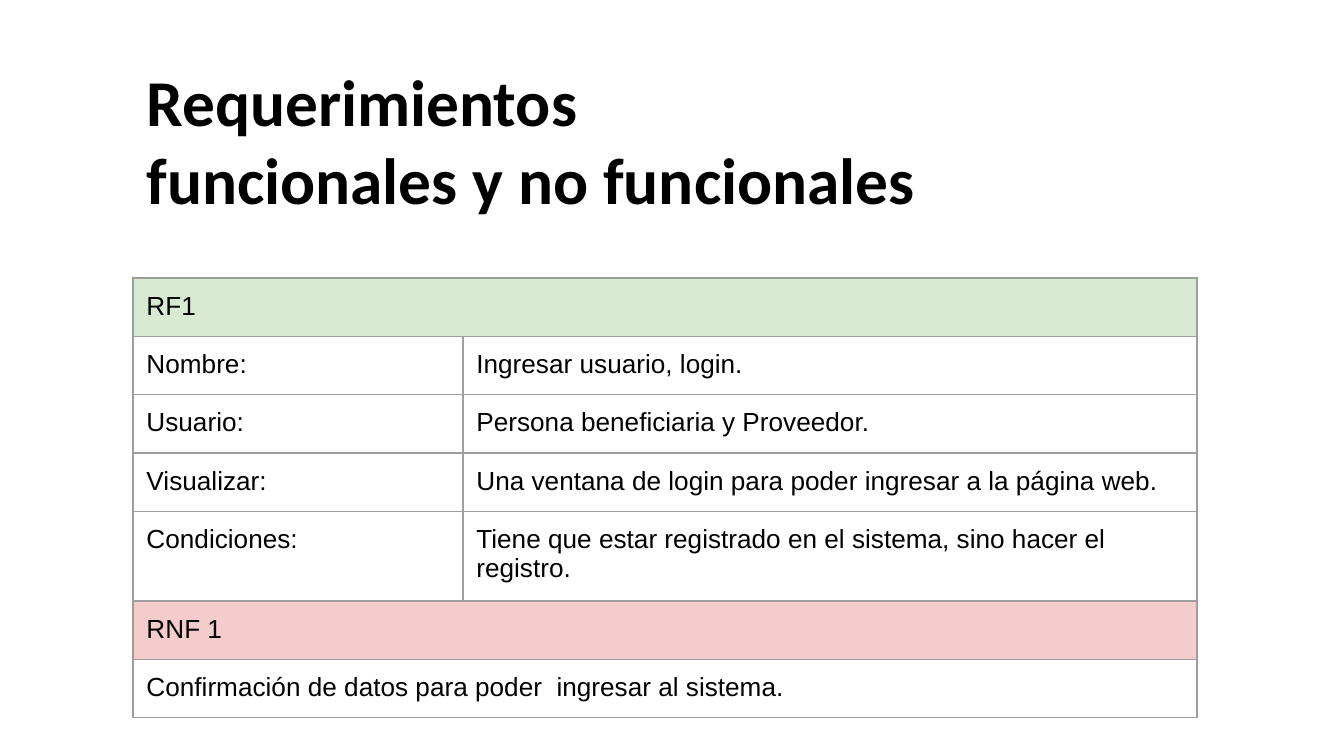
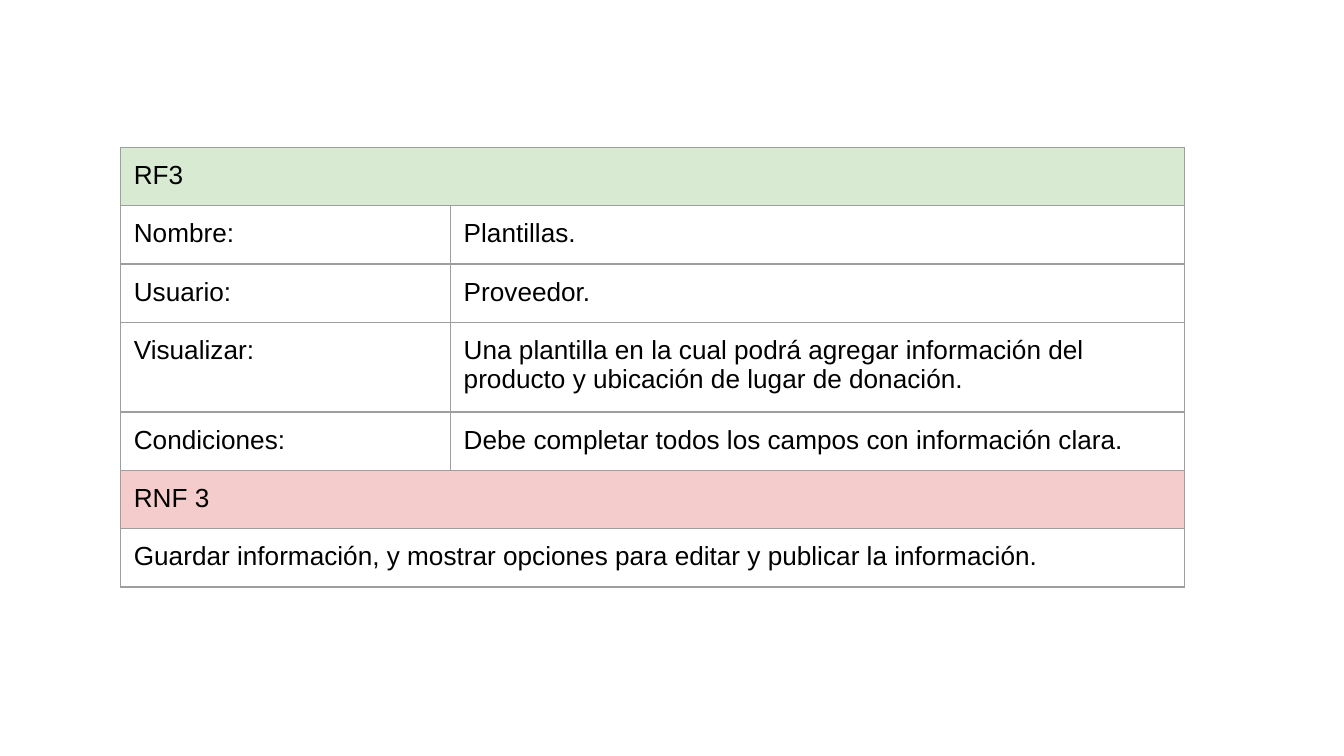
"""Build two slides of functional and non-functional requirement tables."""
from dataclasses import dataclass
from typing import Optional

from lxml.etree import SubElement
from pptx import Presentation
from pptx.dml.color import RGBColor
from pptx.enum.text import MSO_ANCHOR, MSO_AUTO_SIZE, PP_ALIGN
from pptx.oxml.ns import qn
from pptx.slide import Slide
from pptx.table import Table, _Cell as Cell
from pptx.util import Length, Pt


@dataclass(frozen=True)
class Theme:
    """Colours, fonts and sizes shared by the slides."""
    ink: RGBColor = RGBColor(0x00, 0x00, 0x00)
    functional: RGBColor = RGBColor(0xD9, 0xEA, 0xD3)
    non_functional: RGBColor = RGBColor(0xF4, 0xCC, 0xCC)
    border: RGBColor = RGBColor(0x9E, 0x9E, 0x9E)
    border_width: Length = Pt(0.75)
    title_font: str = "Calibri"
    title_size: Length = Pt(35)
    table_font: str = "Arial"
    table_size: Length = Pt(14)
    padding: Length = Pt(7.2)


@dataclass(frozen=True)
class Requirement:
    """One functional requirement and its non-functional companion."""
    left: Length
    top: Length
    code: str
    name: str
    user: str
    view: str
    conditions: str
    quality_code: str
    quality: str


THEME = Theme()
COLUMN_WIDTHS = (Pt(176.75), Pt(393.25))
ROW_HEIGHT = Pt(30.25)
ROW_COUNT = 7
TITLE_ONLY, BLANK = 5, 6
TITLE_LINES = ("Requerimientos", "funcionales y no funcionales")

LOGIN = Requirement(
    Pt(71.25), Pt(149), "RF1", "Ingresar usuario, login.",
    "Persona beneficiaria y Proveedor.",
    "Una ventana de login para poder ingresar a la página web.",
    "Tiene que estar registrado en el sistema, sino hacer el registro.",
    "RNF 1", "Confirmación de datos para poder  ingresar al sistema.",
)
TEMPLATES = Requirement(
    Pt(64.5), Pt(79), "RF3", "Plantillas.", "Proveedor.",
    "Una plantilla en la cual podrá agregar información del producto "
    "y ubicación de lugar de donación.",
    "Debe completar todos los campos con información clara.",
    "RNF 3",
    "Guardar información, y mostrar opciones para editar y publicar la información.",
)


def write_title(page: Slide) -> None:
    """Place and format the title placeholder."""
    title = page.shapes.title
    title.left, title.top, title.width, title.height = Pt(71.25), Pt(29), Pt(472), Pt(92)
    frame = title.text_frame
    frame.text = "\n".join(TITLE_LINES)
    frame.word_wrap = True
    frame.auto_size = MSO_AUTO_SIZE.SHAPE_TO_FIT_TEXT
    frame.vertical_anchor = MSO_ANCHOR.TOP
    frame.margin_left = frame.margin_right = THEME.padding
    frame.margin_top = frame.margin_bottom = Pt(3.6)
    for para in frame.paragraphs:
        para.alignment = PP_ALIGN.LEFT
        para.font.name = THEME.title_font
        para.font.size = THEME.title_size
        para.font.bold = True
        para.font.color.rgb = THEME.ink


def style_cell(cell: Cell, fill: Optional[RGBColor]) -> None:
    """Give a cell its fill, padding and four borders."""
    cell.margin_left = cell.margin_right = THEME.padding
    cell.margin_top = cell.margin_bottom = THEME.padding
    if fill is None:
        cell.fill.background()
    else:
        cell.fill.solid()
        cell.fill.fore_color.rgb = fill
    properties = cell._tc.get_or_add_tcPr()
    for index, side in enumerate(("a:lnL", "a:lnR", "a:lnT", "a:lnB")):
        line = SubElement(properties, qn(side), w=str(THEME.border_width))
        paint = SubElement(line, qn("a:solidFill"))
        SubElement(paint, qn("a:srgbClr"), val=str(THEME.border))
        properties.insert(index, line)


def write_row(table: Table, row: int, texts: tuple[str, ...],
              fill: Optional[RGBColor] = None) -> None:
    """Write a row, merging its cells when it holds a single text."""
    for column in range(len(COLUMN_WIDTHS)):
        style_cell(table.cell(row, column), fill)
    if len(texts) == 1:
        table.cell(row, 0).merge(table.cell(row, len(COLUMN_WIDTHS) - 1))
    for column, text in enumerate(texts):
        cell = table.cell(row, column)
        cell.text = text
        font = cell.text_frame.paragraphs[0].font
        font.name = THEME.table_font
        font.size = THEME.table_size
        font.color.rgb = THEME.ink


def add_requirement(page: Slide, item: Requirement) -> None:
    """Add the table that describes a requirement."""
    table = page.shapes.add_table(
        ROW_COUNT, len(COLUMN_WIDTHS), item.left, item.top,
        sum(COLUMN_WIDTHS), ROW_HEIGHT * ROW_COUNT,
    ).table
    table.first_row = table.horz_banding = False
    for column, width in zip(table.columns, COLUMN_WIDTHS):
        column.width = width
    for row in table.rows:
        row.height = ROW_HEIGHT
    rows = (
        ((item.code,), THEME.functional),
        (("Nombre:", item.name), None),
        (("Usuario:", item.user), None),
        (("Visualizar:", item.view), None),
        (("Condiciones:", item.conditions), None),
        ((item.quality_code,), THEME.non_functional),
        ((item.quality,), None),
    )
    for index, (texts, fill) in enumerate(rows):
        write_row(table, index, texts, fill)


def main() -> None:
    """Build and save the deck."""
    deck = Presentation()
    deck.slide_width, deck.slide_height = Pt(720), Pt(405)
    first = deck.slides.add_slide(deck.slide_layouts[TITLE_ONLY])
    write_title(first)
    add_requirement(first, LOGIN)
    second = deck.slides.add_slide(deck.slide_layouts[BLANK])
    add_requirement(second, TEMPLATES)
    deck.save("out.pptx")


if __name__ == "__main__":
    main()
